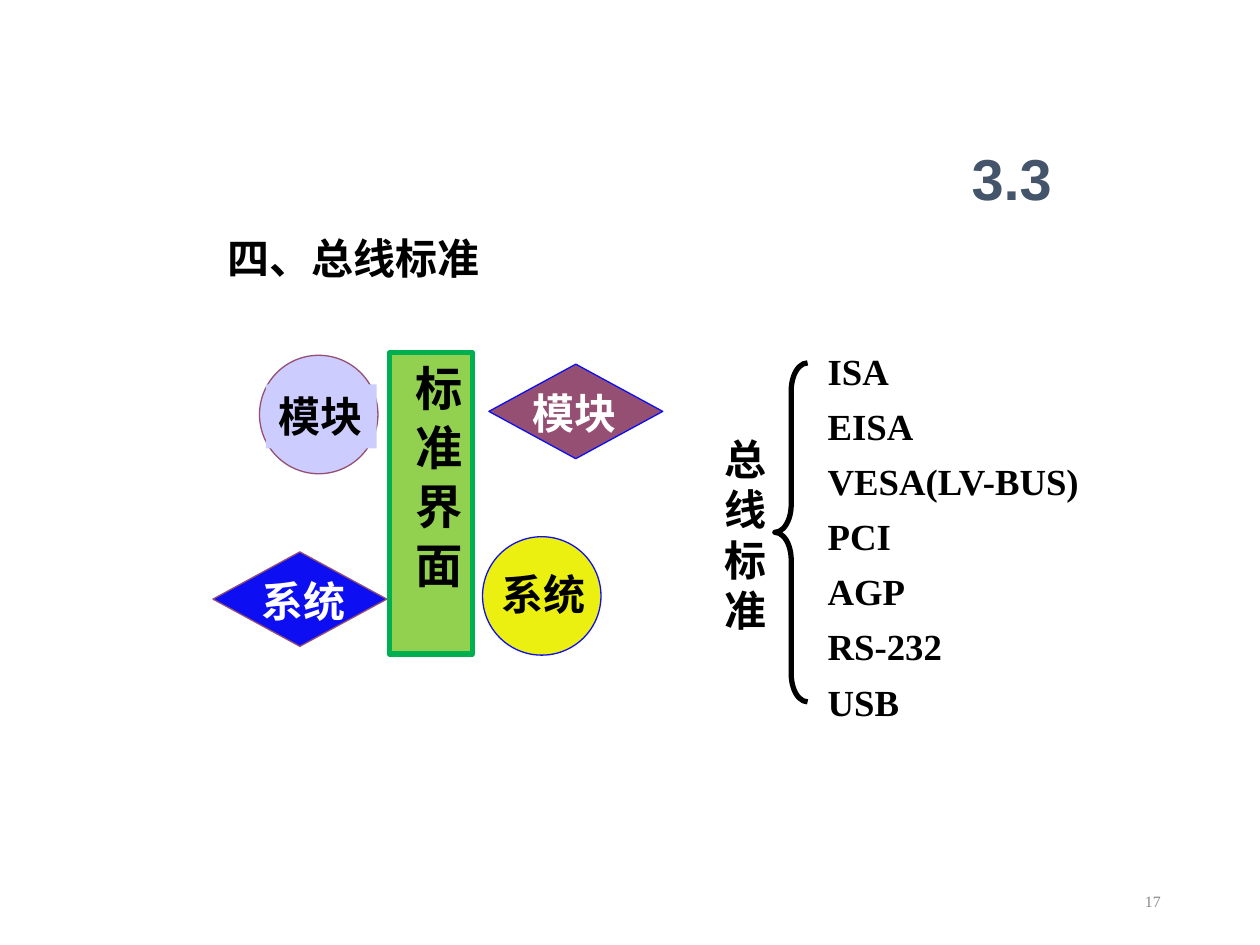
from pptx import Presentation
from pptx.dml.color import RGBColor
from pptx.enum.shapes import MSO_SHAPE as Shape
from pptx.enum.text import MSO_ANCHOR as Anchor, PP_ALIGN as Align
from pptx.util import Inches, Pt

THEME = {
    "serif": "Times New Roman", "sans": "Arial",
    "black": "000000", "white": "FFFFFF", "slate": "44546A", "gray": "898989",
    "lilac": "CCCCFF", "plum": "954F72", "blue": "0E0EF2", "yellow": "EBF010",
    "lime": "92D050", "green": "00B050",
    "title": 33, "bar": 27, "body": 24, "list": 21, "page": 9,
    "thin": 0.75, "thick": 3,
}

BUSES = ["ISA", "EISA", "VESA(LV-BUS)", "PCI", "AGP", "RS-232", "USB"]
CIRCLE, DIAMOND = (0.94, 0.94), (1.38, 0.75)
LABEL = (0.88, 0.51)
# shape, left and top, size, fill, line, label, label left and top, label colour, label fill
NODES = [
    (Shape.OVAL, (2.06, 2.82), CIRCLE, "lilac", "plum", "模块", (2.11, 3.05), "black", "lilac"),
    (Shape.OVAL, (3.83, 4.26), CIRCLE, "yellow", "blue", "系统", (3.88, 4.46), "black", None),
    (Shape.DIAMOND, (1.69, 4.38), DIAMOND, "blue", "plum", "系统", (1.98, 4.52), "white", None),
    (Shape.DIAMOND, (3.88, 2.89), DIAMOND, "plum", "blue", "模块", (4.13, 3.03), "white", None),
]

deck = Presentation()
deck.slide_width, deck.slide_height = Inches(10), Inches(7.5)
slide = deck.slides.add_slide(deck.slide_layouts[6])


def tint(name):
    return RGBColor.from_string(THEME[name])


def paint(shape, fill):
    shape.fill.solid()
    shape.fill.fore_color.rgb = tint(fill)


def draw(kind, box, line, fill=None, width="thin"):
    shape = slide.shapes.add_shape(kind, *map(Inches, box))
    shape.shadow.inherit = False
    if fill:
        paint(shape, fill)
    else:
        shape.fill.background()
    shape.line.color.rgb = tint(line)
    shape.line.width = Pt(THEME[width])
    return shape


def write(frame, lines, size="body", color="black", face="serif", bold=True, wrap=True,
          align=Align.LEFT, anchor=Anchor.TOP, space=None, inset=(0.1, 0.05)):
    """Fill a text frame, one paragraph a line; inset is the side and top margin."""
    frame.word_wrap = wrap
    frame.vertical_anchor = anchor
    frame.margin_left = frame.margin_right = Inches(inset[0])
    frame.margin_top = frame.margin_bottom = Inches(inset[1])
    for i, line in enumerate(lines):
        para = frame.add_paragraph() if i else frame.paragraphs[0]
        para.alignment = align
        para.line_spacing = space
        run = para.add_run()
        run.text = line
        run.font.name = THEME[face]
        run.font.size = Pt(THEME[size])
        run.font.bold = bold
        run.font.color.rgb = tint(color)


def note(box, lines, **style):
    shape = slide.shapes.add_textbox(*map(Inches, box))
    write(shape.text_frame, lines, **style)
    return shape


note((7.56, 1.06, 0.94, 0.69), ["3.3"], size="title", color="slate", face="sans",
     align=Align.CENTER, anchor=Anchor.MIDDLE, inset=(0.08, 0.04))
note((1.71, 1.8, 4.06, 0.5), ["四、总线标准"])

for kind, spot, size, fill, line, text, place, color, back in NODES:
    draw(kind, spot + size, line, fill)
    label = note(place + LABEL, [text], color=color, wrap=False)
    if back:
        paint(label, back)

bar = draw(Shape.RECTANGLE, (3.09, 2.8, 0.66, 2.39), "green", "lime", "thick")
write(bar.text_frame, ["标 准 界 面"], size="bar")
bar.text_frame._txBody.bodyPr.set("vert", "eaVert")

note((5.65, 3.39, 0.44, 1.72), list("总线标准"))
brace = draw(Shape.LEFT_BRACE, (6.15, 2.88, 0.26, 2.69), "black", width="thick")
brace.adjustments[0] = 0.85
note((6.47, 2.63, 2.62, 3.15), BUSES, size="list", space=1.25)

note((7.06, 6.95, 2.25, 0.4), ["17"], size="page", color="gray", bold=False,
     align=Align.RIGHT, anchor=Anchor.MIDDLE)

deck.save("out.pptx")
